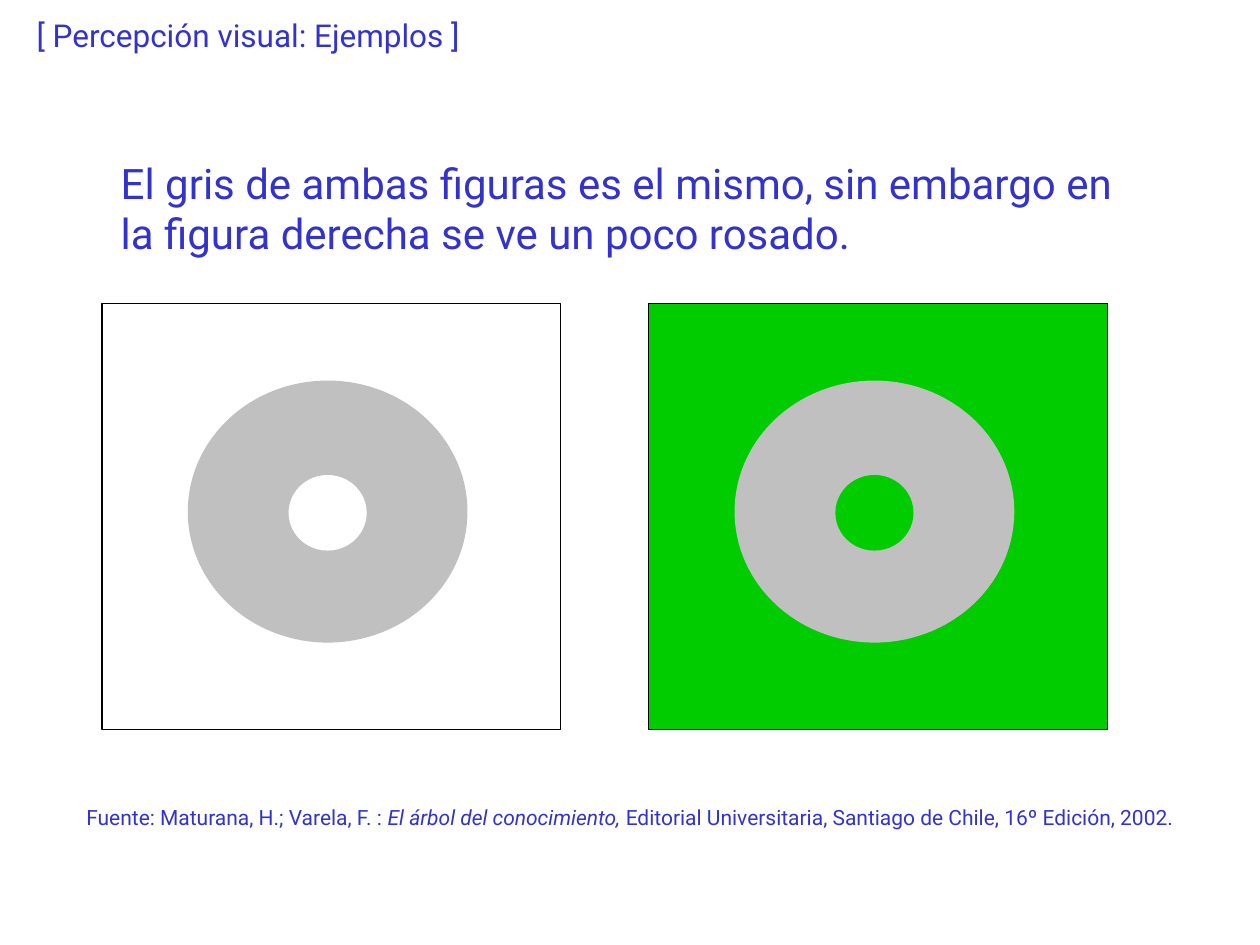
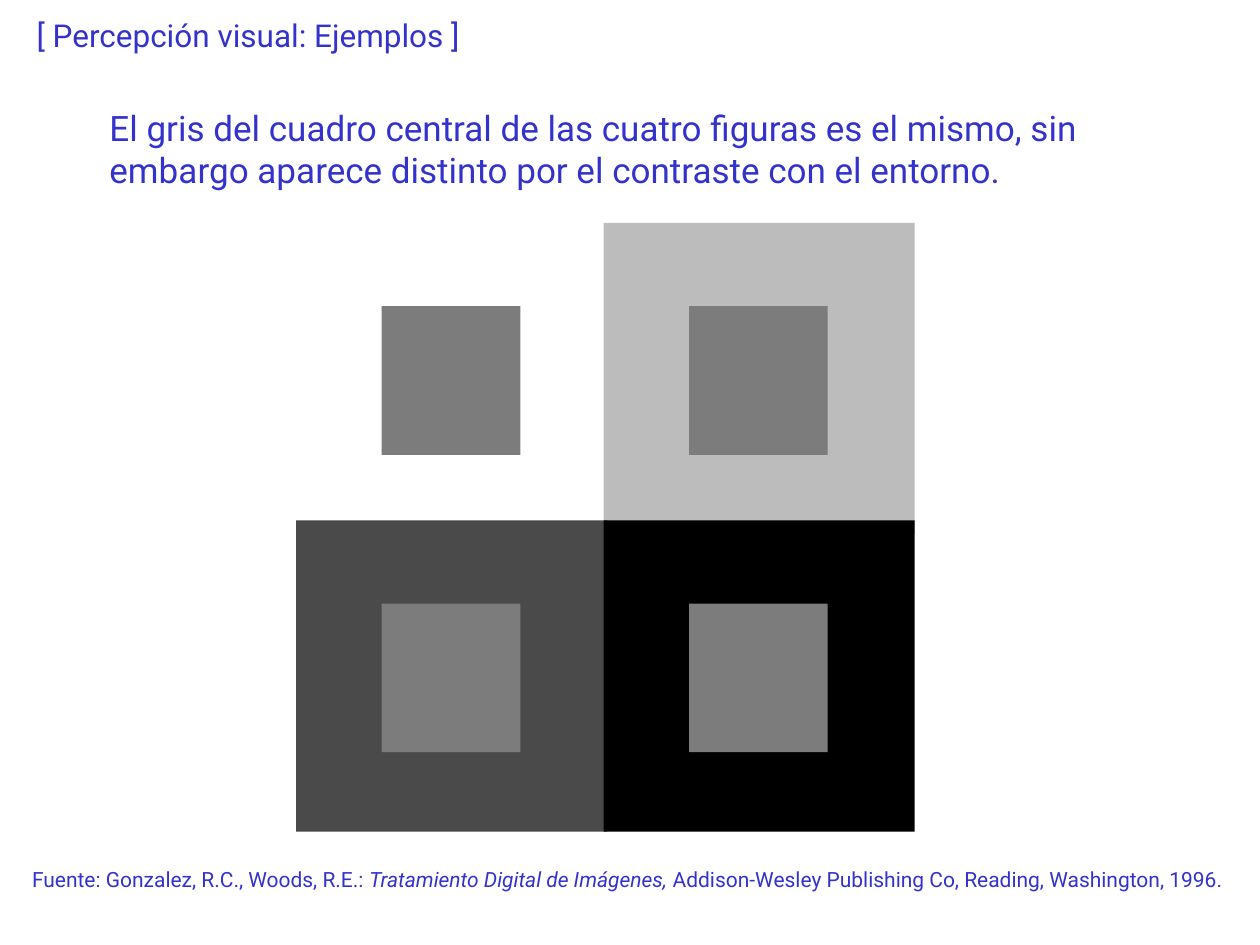
from pptx import Presentation
from pptx.dml.color import RGBColor
from pptx.enum.shapes import MSO_SHAPE as Shape
from pptx.enum.text import MSO_ANCHOR as Anchor, MSO_AUTO_SIZE as AutoSize, PP_ALIGN as Align
from pptx.util import Inches, Pt

# Shared style
FONT = "Roboto"
BLUE = RGBColor(0x33, 0x33, 0xCC)
WHITE = RGBColor(0xFF, 0xFF, 0xFF)
BLACK = RGBColor(0x00, 0x00, 0x00)
GREEN = RGBColor(0x00, 0xCC, 0x00)
RING_GRAY = RGBColor(0xC0, 0xC0, 0xC0)
CENTER_GRAY = RGBColor(0x7C, 0x7C, 0x7C)
LIGHT_GRAY = RGBColor(0xBC, 0xBC, 0xBC)
DARK_GRAY = RGBColor(0x4A, 0x4A, 0x4A)

# Content: places are (left, top, width, height) in inches
TITLE = "[ Percepción visual: Ejemplos ]"
TITLE_PLACE = (0.19, 0.08, 3.67, 0.4)

RINGS = {
    "message": "El gris de ambas figuras es el mismo, sin embargo en "
               "la figura derecha se ve un poco rosado.",
    "message_place": (0.86, 1.2, 8.11, 0.9),
    "message_size": 24,
    "source": [("Fuente: Maturana, H.; Varela, F. : ", False),
               ("El árbol del conocimiento, ", True),
               ("Editorial Universitaria, Santiago de Chile, 16º Edición, 2002.", False)],
    "source_place": (0.34, 6.34, 9.32, 0.3),
}
RING_BACKGROUNDS = [WHITE, GREEN]

SQUARES = {
    "message": "El gris del cuadro central de las cuatro figuras es el mismo, sin "
               "embargo aparece distinto por el contraste con el entorno.",
    "message_place": (0.77, 0.8, 8.11, 0.77),
    "message_size": 20,
    "source": [("Fuente: Gonzalez, R.C., Woods, R.E.: ", False),
               ("Tratamiento Digital de Imágenes,", True),
               (" Addison-Wesley Publishing Co, Reading, Washington, 1996.", False)],
    "source_place": (-0.03, 6.83, 10.02, 0.3),
}
SQUARE_BACKGROUNDS = [[WHITE, LIGHT_GRAY],
                      [DARK_GRAY, BLACK]]


def write(box, spans, size, wrap=True, align=Align.LEFT):
    """Fill a box with one paragraph of (text, italic) spans."""
    frame = box.text_frame
    frame.word_wrap = wrap
    frame.auto_size = AutoSize.NONE
    frame.vertical_anchor = Anchor.TOP
    para = frame.paragraphs[0]
    para.alignment = align
    for text, italic in spans:
        span = para.add_run()
        span.text = text
        span.font.name = FONT
        span.font.size = Pt(size)
        span.font.italic = italic
        span.font.color.rgb = BLUE


def add_figure(slide, kind, place, fill, outlined=False):
    figure = slide.shapes.add_shape(kind, *map(Inches, place))
    figure.shadow.inherit = False
    figure.fill.solid()
    figure.fill.fore_color.rgb = fill
    if outlined:
        figure.line.color.rgb = BLACK
        figure.line.width = Pt(0.75)
    else:
        figure.line.fill.background()


def add_example(deck, content):
    """Add a slide with its title, message and source."""
    slide = deck.slides.add_slide(deck.slide_layouts[5])
    title = slide.shapes.title
    title.left, title.top, title.width, title.height = map(Inches, TITLE_PLACE)
    write(title, [(TITLE, False)], 18, wrap=False)

    message = slide.shapes.add_textbox(*map(Inches, content["message_place"]))
    write(message, [(content["message"], False)], content["message_size"])

    source = slide.shapes.add_textbox(*map(Inches, content["source_place"]))
    write(source, content["source"], 12, wrap=False, align=Align.CENTER)
    return slide


def add_rings(slide):
    """Draw the same gray ring on each background."""
    left, top, step = 0.81, 2.41, 4.34
    for column, color in enumerate(RING_BACKGROUNDS):
        x = left + column * step
        add_figure(slide, Shape.RECTANGLE, (x, top, 3.64, 3.38), color, outlined=True)
        add_figure(slide, Shape.OVAL, (x + 0.68, top + 0.61, 2.22, 2.08), RING_GRAY)
        add_figure(slide, Shape.OVAL, (x + 1.48, top + 1.36, 0.62, 0.6), color)


def add_squares(slide):
    """Draw the same gray square on each cell of a two by two grid."""
    left, top, side = 2.35, 1.77, 2.47
    step_x, step_y = 2.44, 2.36
    for row, colors in enumerate(SQUARE_BACKGROUNDS):
        for column, color in enumerate(colors):
            x, y = left + column * step_x, top + row * step_y
            add_figure(slide, Shape.RECTANGLE, (x, y, side, side), color)
            add_figure(slide, Shape.RECTANGLE, (x + 0.68, y + 0.66, 1.1, 1.18), CENTER_GRAY)


def main():
    deck = Presentation()
    deck.slide_width, deck.slide_height = Inches(10), Inches(7.5)
    add_rings(add_example(deck, RINGS))
    add_squares(add_example(deck, SQUARES))
    deck.save("out.pptx")


if __name__ == "__main__":
    main()
